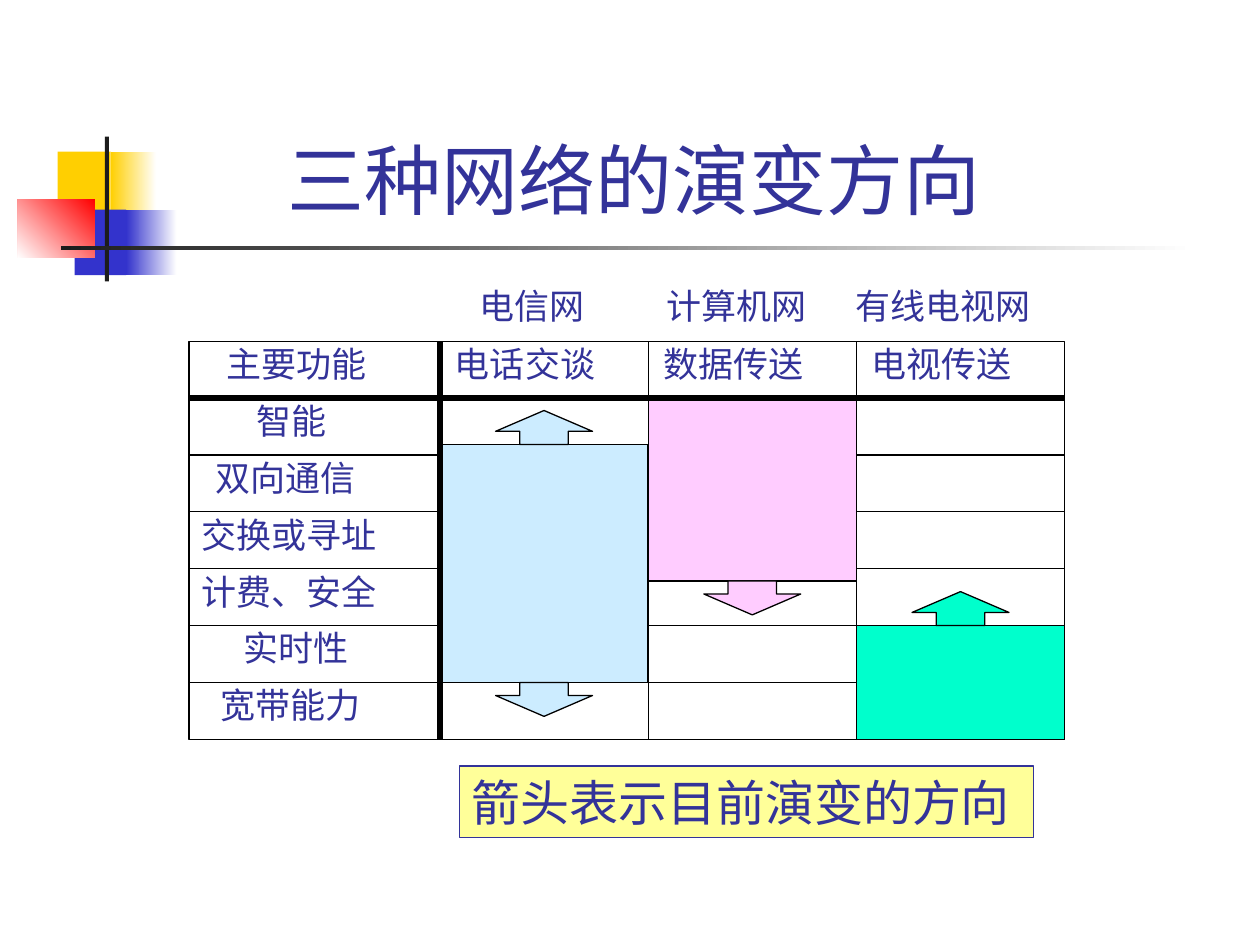
from lxml import etree
from pptx import Presentation
from pptx.dml.color import RGBColor
from pptx.enum import shapes, text
from pptx.oxml import ns
from pptx.util import Pt

RECTANGLE = shapes.MSO_SHAPE.RECTANGLE
INK, BLACK, WHITE = "333399", "000000", "FFFFFF"
ROW_HEIGHT, LABEL_WIDTH, COLUMN_WIDTH = 32.5, 143.4, 119

# Row labels and their left offsets in the grid
ROWS = [("主要功能", 14.4), ("智能", 31.7), ("双向通信", 7.9), ("交换或寻址", 0),
        ("计费、安全", 0), ("实时性", 23.8), ("宽带能力", 10.8)]

# Heading, its offset, function, bar top and bottom, bar colour, arrows
NETWORKS = [("电信网", 15.7, "电话交谈", 59, 195, "CCECFF", ("up", "down")),
            ("计算机网", 3.3, "数据传送", 34, 137, "FFCCFF", ("down",)),
            ("有线电视网", -7.7, "电视传送", 162.5, 227.5, "00FFCC", ("up",))]


def color(value):
    return RGBColor.from_string(value)


def add_block(slide, kind, left, top, width, height, fill, line=None):
    shape = slide.shapes.add_shape(kind, Pt(left), Pt(top), Pt(width), Pt(height))
    shape.shadow.inherit = False
    shape.fill.solid()
    shape.fill.fore_color.rgb = color(fill)
    if line:
        shape.line.color.rgb = color(line)
        shape.line.width = Pt(0.74)
    else:
        shape.line.fill.background()
    return shape


def add_fade(slide, left, top, width, height, start, angle=0):
    shape = add_block(slide, RECTANGLE, left, top, width, height, start)
    shape.fill.gradient()
    shape.fill.gradient_angle = angle
    for stop, value in zip(shape.fill.gradient_stops, (start, WHITE)):
        stop.color.rgb = color(value)


def add_line(slide, x1, y1, x2, y2, weight=0.74):
    line = slide.shapes.add_connector(
        shapes.MSO_CONNECTOR.STRAIGHT, Pt(x1), Pt(y1), Pt(x2), Pt(y2))
    line.line.color.rgb = color(BLACK)
    line.line.width = Pt(weight)
    etree.SubElement(line._element.spPr, ns.qn("a:effectLst"))


def write(shape, words, size, font="Arial", align=text.PP_ALIGN.LEFT,
          anchor=text.MSO_ANCHOR.TOP, wrap=False):
    frame = shape.text_frame
    frame.word_wrap = wrap
    frame.vertical_anchor = anchor
    if not wrap:
        frame.auto_size = text.MSO_AUTO_SIZE.SHAPE_TO_FIT_TEXT
    paragraph = frame.paragraphs[0]
    paragraph.text = words
    paragraph.alignment = align
    paragraph.font.size = Pt(size)
    paragraph.font.name = font
    paragraph.font.color.rgb = color(INK)


def add_label(slide, words, left, top):
    width = 20 * len(words) + 14.4
    box = slide.shapes.add_textbox(Pt(left), Pt(top), Pt(width), Pt(31.5))
    write(box, words, 20)


def add_ornament(slide, left, top):
    # Squares that fade to the right
    for x, y, solid, fade, fill in ((23, 8.6, 30.3, 26, "FFCF01"),
                                    (32.6, 41.8, 29.5, 28.8, "3333CC")):
        add_block(slide, RECTANGLE, left + x, top + y, solid, 37.4, fill)
        add_fade(slide, left + x + solid, top + y, fade, 37.4, fill)
    add_fade(slide, left, top + 36, 44.2, 33.4, "FF0000", 225)
    # Crossing bars
    add_block(slide, RECTANGLE, left + 49.9, top, 2.4, 82.8, "1C1C1C")
    add_fade(slide, left + 24.8, top + 62.3, 648, 2.4, "1C1C1C")


def add_title(slide, left, top, width, height):
    box = slide.shapes.add_textbox(Pt(left), Pt(top), Pt(width), Pt(height))
    write(box, "三种网络的演变方向 ", 44, align=text.PP_ALIGN.CENTER,
          anchor=text.MSO_ANCHOR.BOTTOM, wrap=True)


def add_network(slide, left, top, network):
    heading, offset, function, start, end, fill, arrows = network
    add_block(slide, RECTANGLE, left, top + start, COLUMN_WIDTH, end - start, fill, BLACK)
    # Arrows stand on the ends of the bar
    for direction in arrows:
        up = direction == "up"
        kind = shapes.MSO_SHAPE.UP_ARROW if up else shapes.MSO_SHAPE.DOWN_ARROW
        arrow = add_block(slide, kind, left + (COLUMN_WIDTH - 55.4) / 2,
                          top + (start - 19.4 if up else end), 55.4, 19.4, fill, BLACK)
        arrow.adjustments[1] = 0.615
    add_label(slide, heading, left + offset, top - 36)
    add_label(slide, function, left + 1.5, top - 2.8)


def add_grid(slide, left, top):
    width = LABEL_WIDTH + COLUMN_WIDTH * len(NETWORKS)
    height = ROW_HEIGHT * len(ROWS)
    right, bottom, body = left + width, top + height, left + LABEL_WIDTH
    add_block(slide, RECTANGLE, left, top, width, height, WHITE, BLACK)
    # Thin rules
    for row in range(2, len(ROWS)):
        y = top + row * ROW_HEIGHT
        add_line(slide, left, y, right, y)
    for column in range(1, len(NETWORKS)):
        x = body + column * COLUMN_WIDTH
        add_line(slide, x, top, x, bottom)
    # Labels and bars
    for row, (label, offset) in enumerate(ROWS):
        add_label(slide, label, left + offset, top + row * ROW_HEIGHT - 2.8)
    for column, network in enumerate(NETWORKS):
        add_network(slide, body + column * COLUMN_WIDTH, top, network)
    # Thick rules
    add_line(slide, left, top + ROW_HEIGHT, right, top + ROW_HEIGHT, 3)
    add_line(slide, body, top, body, bottom, 3)


def add_note(slide, left, top, width, height):
    note = add_block(slide, RECTANGLE, left, top, width, height, "FFFF99", INK)
    write(note, "箭头表示目前演变的方向 ", 28, "Noto Sans CJK SC")


presentation = Presentation()
presentation.slide_width, presentation.slide_height = Pt(720), Pt(540)
slide = presentation.slides.add_slide(presentation.slide_layouts[6])
add_ornament(slide, 10, 78)
add_title(slide, 90.7, 16.6, 553, 115.2)
add_grid(slide, 108, 195)
add_note(slide, 262.5, 437.8, 328.3, 41)
presentation.save("out.pptx")
